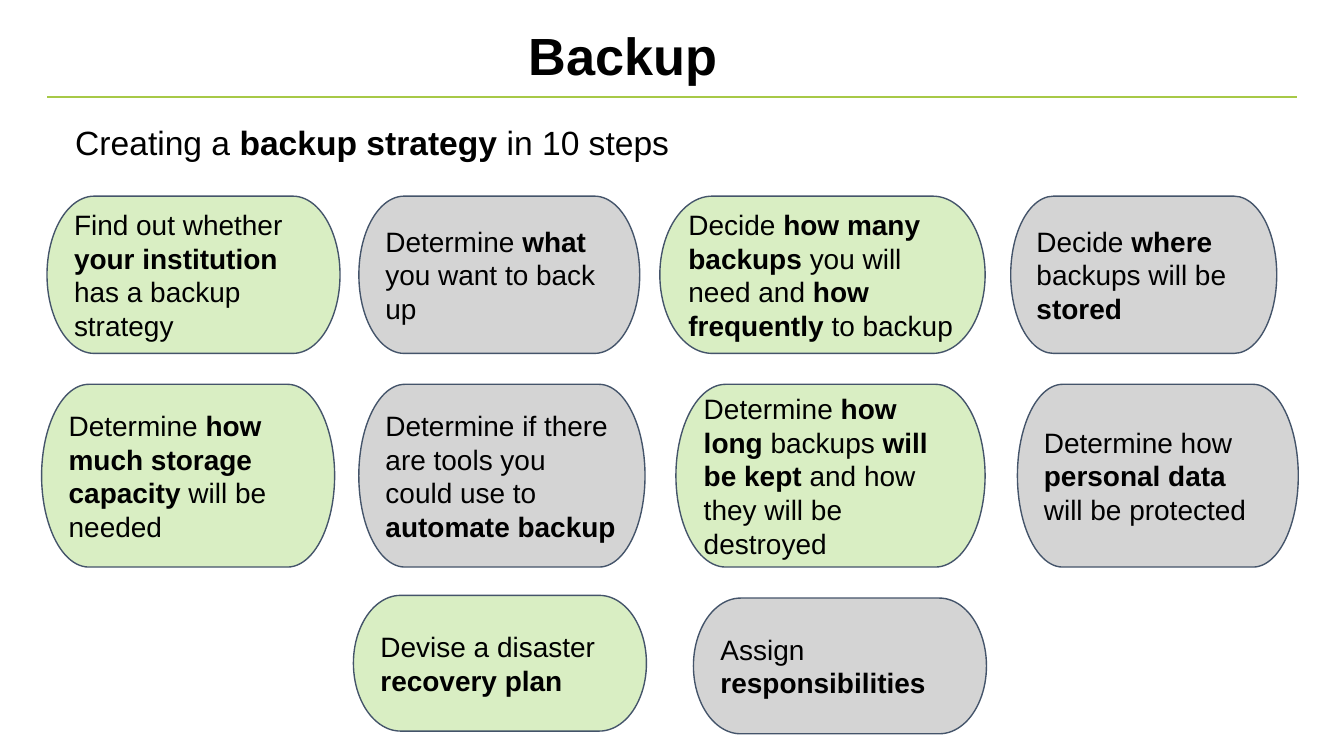
from pptx import Presentation, util as u
from pptx.dml.color import RGBColor
from pptx.enum import shapes, text
from pptx.oxml.ns import qn
from lxml import etree

BLACK = RGBColor(0, 0, 0)
LIME = RGBColor(0xA7, 0xC9, 0x47)
GREEN = RGBColor(0x92, 0xD0, 0x50)
GREY = RGBColor(0xD4, 0xD4, 0xD4)
SLATE = RGBColor(0x44, 0x54, 0x6A)

FRAME = {"word_wrap": True, "auto_size": text.MSO_AUTO_SIZE.NONE,
         "margin_left": u.Inches(0.1), "margin_right": u.Inches(0.1),
         "margin_top": u.Inches(0.1), "margin_bottom": u.Inches(0.1)}
MIDDLE = {**FRAME, "vertical_anchor": text.MSO_ANCHOR.MIDDLE}
TOP = {**FRAME, "vertical_anchor": text.MSO_ANCHOR.TOP}
LEFT = {"alignment": text.PP_ALIGN.LEFT, "space_before": u.Pt(0)}
CENTRE = {**LEFT, "alignment": text.PP_ALIGN.CENTER}

STEP_ROWS = [
    (1.46, 1.17, [
        (0.35, 2.18, "Find out whether **your institution** has a backup strategy"),
        (2.67, 2.09, "Determine **what** you want to back up"),
        (4.91, 2.42, "Decide **how many backups** you will need and "
                     "**how frequently** to backup"),
        (7.52, 1.98, "Decide **where **backups will be **stored**")]),
    (2.86, 1.36, [
        (0.31, 2.18, "Determine **how much storage capacity** will be needed"),
        (2.67, 2.13, "Determine if there are tools you could use to "
                     "**automate backup**"),
        (5.03, 2.3, "Determine **how long** backups **will be kept **"
                    "and how they will be destroyed"),
        (7.57, 2.09, "Determine how **personal data** will be protected")]),
    (4.43, 1.01, [(2.63, 2.18, "Devise a disaster **recovery plan**")]),
    (4.45, 1.01, [(5.16, 2.18, "Assign **responsibilities**")]),
]


def apply(target, values):
    """Set each attribute of a format dict on the target."""
    for name, value in values.items():
        setattr(target, name, value)


def place(shape, left, top, width, height):
    """Move and size a shape, in inches."""
    apply(shape, {"left": u.Inches(left), "top": u.Inches(top),
                  "width": u.Inches(width), "height": u.Inches(height)})


def write(shape, words, size, frame, layout):
    """Fill a shape with one paragraph, bold between double asterisks."""
    apply(shape.text_frame, frame)
    para = shape.text_frame.paragraphs[0]
    apply(para, layout)
    for index, part in enumerate(words.split("**")):
        if part:
            span = para.add_run()
            span.text = part
            apply(span.font, {"name": "Arial", "size": u.Pt(size),
                              "bold": index % 2 == 1})
            span.font.color.rgb = BLACK
    return para


def add_heading(page, left, top, width):
    """Place the title, the rule below it and the lead sentence."""
    title, body = page.placeholders
    place(title, left + 1.31, top, 5.95, 0.52)
    write(title, "**Backup**", 28, MIDDLE, CENTRE)

    rule_top = u.Inches(top + 0.57)
    rule = page.shapes.add_connector(
        shapes.MSO_CONNECTOR.STRAIGHT, u.Inches(left), rule_top,
        u.Inches(left + width), rule_top)
    rule.line.color.rgb = LIME
    rule.line.width = u.Pt(1)
    etree.SubElement(rule._element.spPr, qn("a:effectLst"))

    place(body, left + 0.11, top + 0.66, 5.03, 0.5)
    para = write(body, "Creating a **backup strategy** in 10 steps", 18, TOP, LEFT)
    props = para._p.get_or_add_pPr()
    props.set("marL", "0")
    props.set("indent", "0")
    etree.SubElement(props, qn("a:buNone"))


def add_step(page, box, words, colour):
    """Place one rounded step; green ones are translucent."""
    step = page.shapes.add_shape(
        shapes.MSO_SHAPE.FLOWCHART_TERMINATOR, *map(u.Inches, box))
    step.shadow.inherit = False
    step.fill.solid()
    step.fill.fore_color.rgb = colour
    if colour == GREEN:
        tint = step._element.spPr.find(qn("a:solidFill"))[0]
        etree.SubElement(tint, qn("a:alpha"), val="34000")
    step.line.color.rgb = SLATE
    step.line.width = u.Pt(0.75)
    write(step, words, 15, MIDDLE, LEFT)


def add_steps(page):
    """Place all the steps, green and grey in turn."""
    count = 0
    for top, height, steps in STEP_ROWS:
        for left, width, words in steps:
            add_step(page, (left, top, width, height), words,
                     (GREEN, GREY)[count % 2])
            count += 1


def main():
    """Build and save the deck."""
    deck = Presentation()
    deck.slide_width = u.Inches(10)
    deck.slide_height = deck.slide_width * 9 // 16
    page = deck.slides.add_slide(deck.slide_layouts[1])
    add_heading(page, 0.35, 0.15, 9.3)
    add_steps(page)
    deck.save("out.pptx")


if __name__ == "__main__":
    main()
